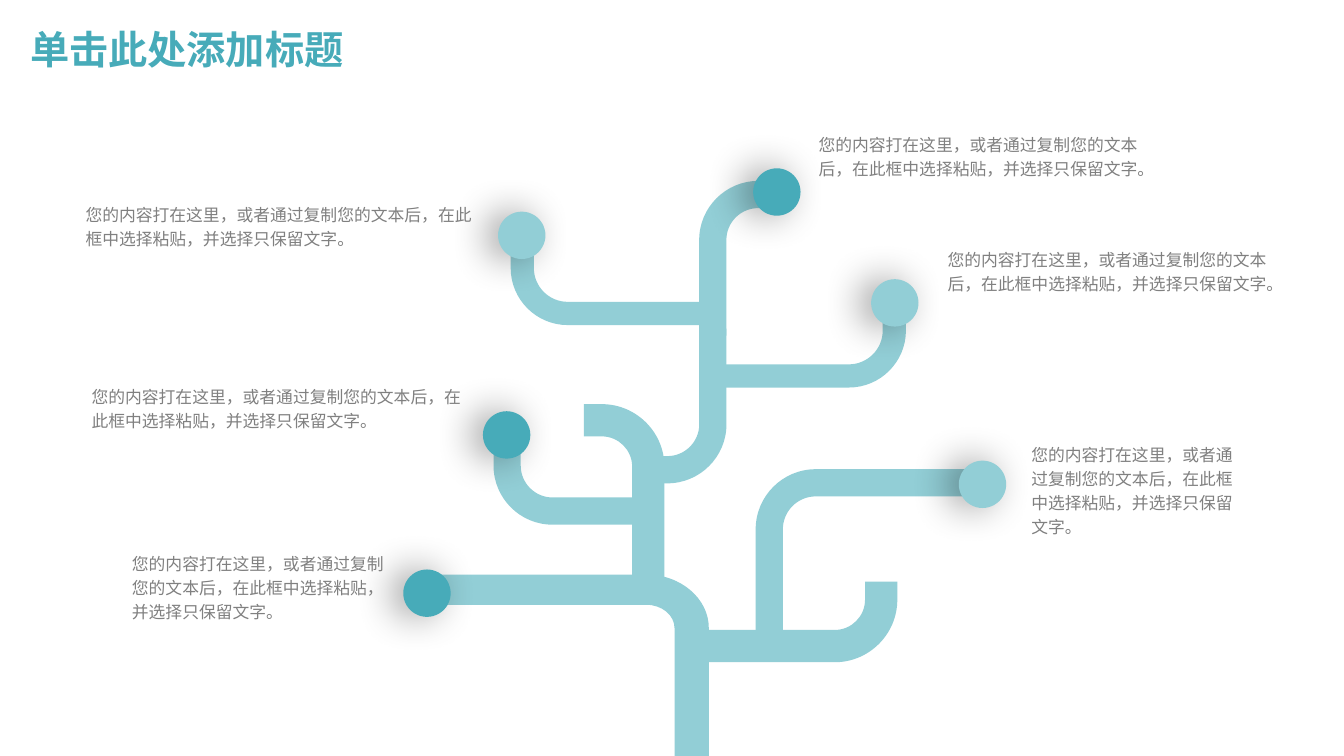
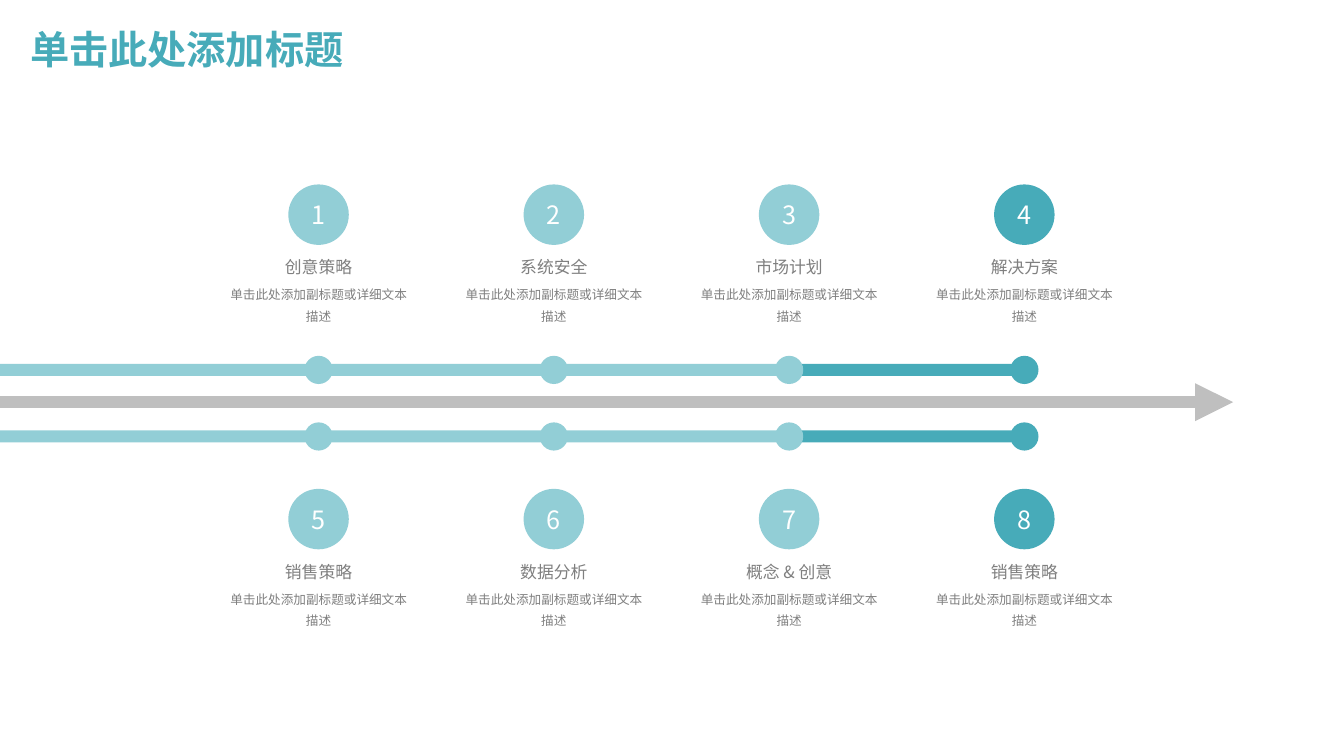
from lxml.etree import SubElement
from pptx import Presentation
from pptx.dml.color import RGBColor
from pptx.enum.shapes import MSO_CONNECTOR, MSO_SHAPE
from pptx.enum.text import MSO_ANCHOR, MSO_AUTO_SIZE, PP_ALIGN
from pptx.oxml.ns import qn
from pptx.util import Inches, Pt

TEAL = RGBColor(0x47, 0xAB, 0xB9)
LIGHT_TEAL = RGBColor(0x92, 0xCE, 0xD6)
GRAY = RGBColor(0x80, 0x80, 0x80)
LABEL_GRAY = RGBColor(0x7F, 0x7F, 0x7F)
ARROW_GRAY = RGBColor(0xBF, 0xBF, 0xBF)
WHITE = RGBColor(0xFF, 0xFF, 0xFF)
BODY_FONT = "Noto Sans CJK SC"
TITLE_FONT = "Montserrat"


def write_text(shape, text, size, color, font=BODY_FONT, bold=False, align=PP_ALIGN.LEFT,
               anchor=MSO_ANCHOR.TOP, spacing=1.0, margins=(0.1, 0.05)):
    frame = shape.text_frame
    frame.word_wrap = True
    frame.vertical_anchor = anchor
    frame.margin_left = frame.margin_right = Inches(margins[0])
    frame.margin_top = frame.margin_bottom = Inches(margins[1])
    paragraph = frame.paragraphs[0]
    paragraph.alignment = align
    paragraph.line_spacing = spacing
    run = paragraph.add_run()
    run.text = text
    run.font.size = Pt(size)
    run.font.bold = bold
    run.font.color.rgb = color
    run.font.name = font
    SubElement(run._r.get_or_add_rPr(), qn("a:ea"), typeface=BODY_FONT)


def paint(shape, color):
    shape.fill.solid()
    shape.fill.fore_color.rgb = color
    shape.line.fill.background()
    shape.shadow.inherit = False


presentation = Presentation()
presentation.slide_width = Inches(13.33)
presentation.slide_height = Inches(7.5)

# Both slides with the shared title
slides = []
for _ in range(2):
    slide = presentation.slides.add_slide(presentation.slide_layouts[5])
    title = slide.shapes.title
    title.left, title.top = Inches(0.2), Inches(0.19)
    title.width, title.height = Inches(11.5), Inches(0.64)
    write_text(title, "单击此处添加标题", 28, TEAL, font=TITLE_FONT, bold=True,
               anchor=MSO_ANCHOR.MIDDLE, spacing=0.9)
    slides.append(slide)
tree_slide, timeline_slide = slides

# Translucent content panel, moved to the master so that both slides share it
panel = tree_slide.shapes.add_shape(MSO_SHAPE.RECTANGLE, Inches(0), Inches(0.98),
                                    Inches(13.33), Inches(6.52))
paint(panel, WHITE)
panel_color = panel._element.spPr.find(qn("a:solidFill")).find(qn("a:srgbClr"))
SubElement(panel_color, qn("a:alpha"), val="85000")
presentation.slide_master.shapes._spTree.insert(2, panel._element)

# Tree: each branch has a horizontal arm, a round bend and a vertical arm
# (arm start x, corner x, corner y, arm end y, arm thicknesses, bend radii)
BRANCHES = [
    (4.22, 6.86, 5.85, 7.5, (0.3, 0.34), (0.45, 0.38)),
    (6.86, 8.74, 6.41, 5.77, (0.32, 0.32), (0.46, 0.46)),
    (7.12, 8.87, 3.73, 3.08, (0.23, 0.23), (0.45, 0.45)),
    (5.79, 6.43, 4.17, 5.88, (0.32, 0.32), (0.46, 0.46)),
    (9.76, 7.63, 4.79, 6.47, (0.27, 0.27), (0.46, 0.46)),
    (7.03, 5.18, 3.11, 2.47, (0.23, 0.23), (0.45, 0.45)),
    (6.43, 5.03, 5.07, 4.43, (0.27, 0.27), (0.45, 0.45)),
    (6.43, 7.07, 4.66, 3.26, (0.27, 0.27), (0.45, 0.45)),
    (7.72, 7.07, 1.93, 3.33, (0.27, 0.27), (0.45, 0.45)),
]
ARC_PULL = 0.55  # share of the way to the corner for a quarter-circle curve
for start_x, corner_x, corner_y, end_y, thickness, radii in BRANCHES:
    toward_x = 1 if corner_x > start_x else -1
    toward_y = 1 if end_y > corner_y else -1
    edges = []
    for side in (0.5, -0.5):
        edge_x = corner_x + toward_x * side * thickness[1]
        edge_y = corner_y - toward_y * side * thickness[0]
        edges.append([(start_x, edge_y), (corner_x - toward_x * radii[0], edge_y),
                      (edge_x, corner_y + toward_y * radii[1]), (edge_x, end_y)])
    outline = [(Inches(x), Inches(y)) for x, y in edges[0] + edges[1][::-1]]
    builder = tree_slide.shapes.build_freeform(*outline[0])
    builder.add_line_segments(outline[1:], close=True)
    branch = builder.convert_to_shape()
    paint(branch, LIGHT_TEAL)

    # Turn the two bend segments into curves
    lines = list(branch._element.iter(qn("a:lnTo")))
    for index, outer in ((1, True), (5, False)):
        x1, y1 = [int(lines[index - 1][0].get(axis)) for axis in "xy"]
        x2, y2 = [int(lines[index][0].get(axis)) for axis in "xy"]
        bend_x, bend_y = (x2, y1) if outer else (x1, y2)
        curve = lines[index]
        curve.tag = qn("a:cubicBezTo")
        curve.remove(curve[0])
        for x, y in [(x1 + ARC_PULL * (bend_x - x1), y1 + ARC_PULL * (bend_y - y1)),
                     (x2 + ARC_PULL * (bend_x - x2), y2 + ARC_PULL * (bend_y - y2)),
                     (x2, y2)]:
            SubElement(curve, qn("a:pt"), x=str(round(x)), y=str(round(y)))

# Tree: a shadowed node and its text for each branch tip
# (node left, node top, colour, text left, top, width, height)
NODES = [
    (4, 5.65, TEAL, 1.21, 5.4, 2.71, 0.83),
    (4.79, 4.08, TEAL, 0.81, 3.75, 3.91, 0.59),
    (9.51, 4.57, LIGHT_TEAL, 10.13, 4.32, 2.35, 1.07),
    (8.64, 2.77, LIGHT_TEAL, 9.3, 2.39, 3.46, 0.83),
    (7.47, 1.67, TEAL, 8.02, 1.25, 3.46, 0.83),
    (4.94, 2.1, LIGHT_TEAL, 0.75, 1.94, 4.1, 0.59),
]
NODE_TEXT = "您的内容打在这里，或者通过复制您的文本后，在此框中选择粘贴，并选择只保留文字。"
NODE_SIZE = Inches(0.47)
for node_left, node_top, color, *text_box in NODES:
    node = tree_slide.shapes.add_shape(MSO_SHAPE.OVAL, Inches(node_left), Inches(node_top),
                                       NODE_SIZE, NODE_SIZE)
    paint(node, color)
    effects = node._element.spPr.find(qn("a:effectLst"))
    shadow = SubElement(effects, qn("a:outerShdw"), blurRad=str(Pt(29)), dist=str(Pt(8)),
                        dir="10800000", algn="r", rotWithShape="0")
    shadow_color = SubElement(shadow, qn("a:srgbClr"), val="000000")
    SubElement(shadow_color, qn("a:alpha"), val="40000")
    note = tree_slide.shapes.add_textbox(*[Inches(length) for length in text_box])
    write_text(note, NODE_TEXT, 12, GRAY, spacing=1.2)
    note.text_frame.auto_size = MSO_AUTO_SIZE.SHAPE_TO_FIT_TEXT

# Timeline: central arrow
arrow = timeline_slide.shapes.add_connector(MSO_CONNECTOR.STRAIGHT, Inches(0), Inches(3.99),
                                            Inches(12.23), Inches(3.99))
arrow.line.color.rgb = ARROW_GRAY
arrow.line.width = Pt(9)
SubElement(arrow.line._get_or_add_ln(), qn("a:tailEnd"), type="triangle")
SubElement(arrow._element.spPr, qn("a:effectLst"))

# Timeline: each row has a track, numbered circles and captions
# (track middle, circle top, labels)
ROWS = [
    (3.67, 1.83, ["创意策略", "系统安全", "市场计划", "解决方案"]),
    (4.33, 4.85, ["销售策略", "数据分析", "概念 & 创意", "销售策略"]),
]
DETAIL = "单击此处添加副标题或详细文本描述"
COLORS = [LIGHT_TEAL] * 3 + [TEAL]
CENTERS = [3.16 + 7 * column / 3 for column in range(4)]
TRACK, DOT, CIRCLE, CAPTION = 0.12, 0.28, 0.6, 1.8
for row, (track_middle, circle_top, labels) in enumerate(ROWS):
    for start, end, color in zip([0] + CENTERS, CENTERS, COLORS):
        segment = timeline_slide.shapes.add_shape(
            MSO_SHAPE.RECTANGLE, Inches(start), Inches(track_middle - TRACK / 2),
            Inches(end - start), Inches(TRACK))
        paint(segment, color)

    for column, (center, color, label) in enumerate(zip(CENTERS, COLORS, labels)):
        dot = timeline_slide.shapes.add_shape(
            MSO_SHAPE.OVAL, Inches(center - DOT / 2), Inches(track_middle - DOT / 2),
            Inches(DOT), Inches(DOT))
        paint(dot, color)

        circle = timeline_slide.shapes.add_shape(
            MSO_SHAPE.OVAL, Inches(center - CIRCLE / 2), Inches(circle_top),
            Inches(CIRCLE), Inches(CIRCLE))
        paint(circle, color)
        write_text(circle, str(row * len(CENTERS) + column + 1), 18, WHITE,
                   align=PP_ALIGN.CENTER, anchor=MSO_ANCHOR.MIDDLE)

        for text, size, spacing, offset, height in [(label, 12, 0.9, 0.74, 0.35),
                                                    (DETAIL, 9, 1.4, 0.96, 0.46)]:
            caption = timeline_slide.shapes.add_textbox(
                Inches(center - CAPTION / 2), Inches(circle_top + offset),
                Inches(CAPTION), Inches(height))
            write_text(caption, text, size, LABEL_GRAY, align=PP_ALIGN.CENTER,
                       spacing=spacing, margins=(0, 0))

presentation.save("out.pptx")
